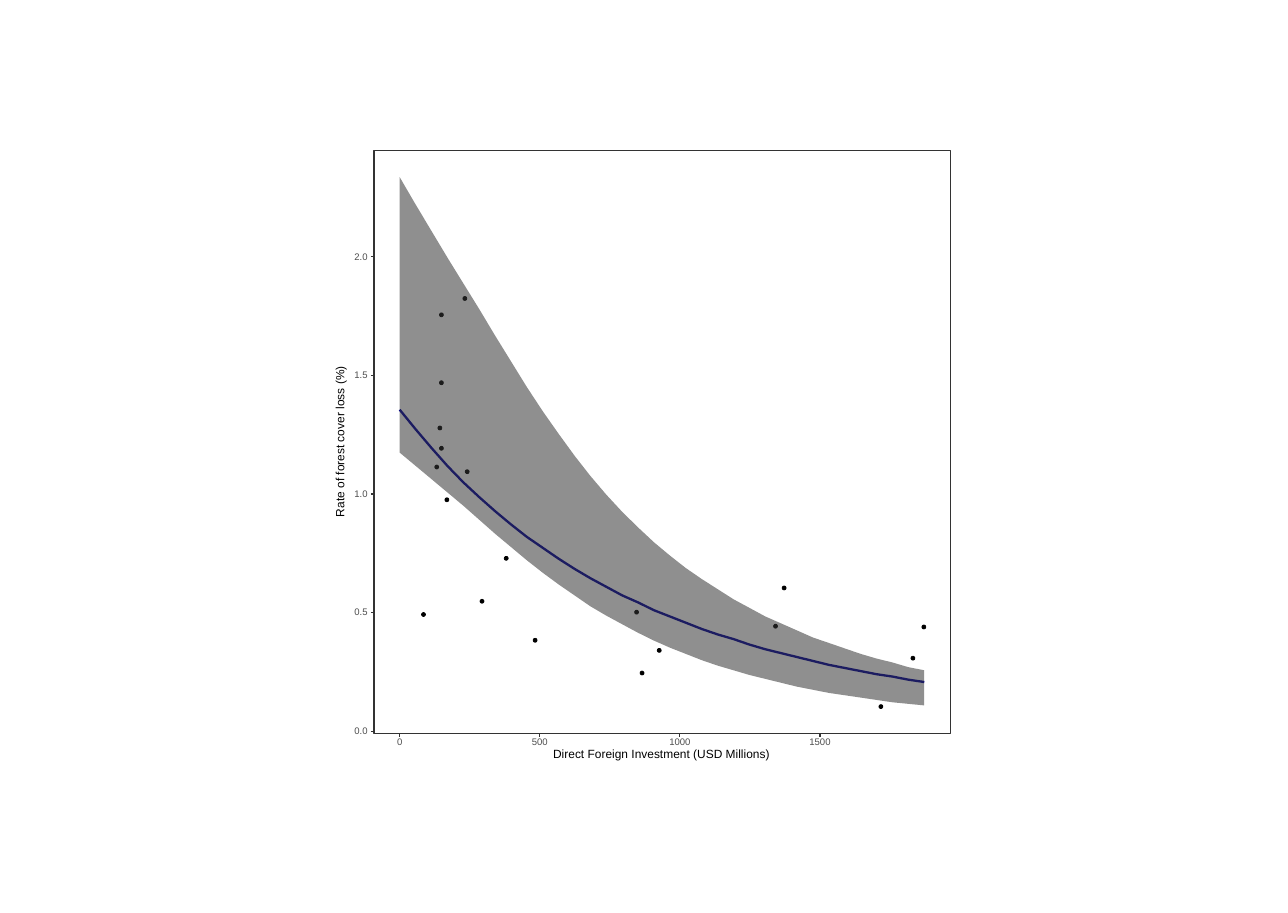
import pptx
import pptx.util
import pptx.dml.color
import pptx.enum.shapes
import pptx.enum.text
import lxml.etree

Inches, Pt = pptx.util.Inches, pptx.util.Pt
RGBColor = pptx.dml.color.RGBColor
MSO_SHAPE = pptx.enum.shapes.MSO_SHAPE
PP_ALIGN = pptx.enum.text.PP_ALIGN

BLACK = RGBColor(0x00, 0x00, 0x00)
WHITE = RGBColor(0xFF, 0xFF, 0xFF)
DARK_GRAY = RGBColor(0x33, 0x33, 0x33)
LABEL_GRAY = RGBColor(0x4D, 0x4D, 0x4D)
FIT_BLUE = RGBColor(0x00, 0x00, 0x99)

# Content
X_TITLE = "Direct Foreign Investment (USD Millions)"
Y_TITLE = "Rate of forest cover loss (%)"
X_LABELS = ["0", "500", "1000", "1500"]
Y_LABELS = ["0.0", "0.5", "1.0", "1.5", "2.0"]

# Left and top of each observation, in inches
OBSERVATIONS = [
    (5.63, 4.01), (6.15, 7.68), (5.7, 6.38), (5.96, 6.02), (5.93, 3.8),
    (5.63, 4.88), (5.63, 5.72), (5.61, 5.46), (5.4, 7.85), (5.57, 5.96),
    (6.46, 7.13), (6.83, 8.18), (8.2, 8.6), (8.13, 7.82), (8.42, 8.31),
    (9.91, 8), (10.02, 7.51), (11.67, 8.41), (11.81, 8.01), (11.26, 9.03),
]

# Heights of the curves at equal steps from left to right, in inches
FIT = [
    5.25, 5.5, 5.74, 5.97, 6.18, 6.37, 6.55, 6.72, 6.88, 7.02, 7.16, 7.29,
    7.41, 7.52, 7.63, 7.72, 7.82, 7.9, 7.98, 8.06, 8.13, 8.19, 8.26, 8.32,
    8.37, 8.42, 8.47, 8.52, 8.56, 8.6, 8.64, 8.67, 8.71, 8.74,
]
UPPER = [
    2.27, 2.62, 2.96, 3.3, 3.63, 3.96, 4.3, 4.63, 4.96, 5.27, 5.56, 5.84,
    6.1, 6.34, 6.56, 6.76, 6.95, 7.12, 7.28, 7.42, 7.55, 7.68, 7.79, 7.9,
    7.99, 8.08, 8.17, 8.24, 8.31, 8.38, 8.44, 8.49, 8.55, 8.59,
]
LOWER = [
    5.8, 5.97, 6.14, 6.31, 6.48, 6.66, 6.84, 7.01, 7.18, 7.34, 7.49, 7.63,
    7.77, 7.89, 8, 8.11, 8.21, 8.3, 8.38, 8.46, 8.53, 8.59, 8.65, 8.7,
    8.75, 8.8, 8.84, 8.88, 8.91, 8.94, 8.97, 9, 9.02, 9.04,
]

# Layout
FIGURE = (4.25, 1.85, 8, 8)
PANEL = (4.79, 1.93, 7.39, 7.47)
PANEL_LEFT, PANEL_BOTTOM = PANEL[0], PANEL[1] + PANEL[3]
X_ZERO, X_STEP = 5.12, 1.795
Y_ZERO, Y_STEP = 9.37, 1.52
CURVE_WIDTH = 6.72
TICK = 0.04
DOT = 0.05

presentation = pptx.Presentation()
presentation.slide_width, presentation.slide_height = Inches(16.5), Inches(11.7)
slide = presentation.slides.add_slide(presentation.slide_layouts[6])
shapes = slide.shapes


def style(shape, fill=None, line=None, width=1.07):
    shape.shadow.inherit = False
    for part, color in ((shape.fill, fill), (shape.line.fill, line)):
        if color is None:
            part.background()
        else:
            part.solid()
            part.fore_color.rgb = color
    if line is not None:
        shape.line.width = Pt(width)


def add_preset(kind, box, **look):
    style(shapes.add_shape(kind, *map(Inches, box)), **look)


def add_outline(points, close, **look):
    corners = [(Inches(x), Inches(y)) for x, y in points]
    builder = shapes.build_freeform(*corners[0])
    builder.add_line_segments(corners[1:], close=close)
    shape = builder.convert_to_shape()
    style(shape, **look)
    return shape


def add_tick(*ends):
    tick = shapes.add_connector(
        pptx.enum.shapes.MSO_CONNECTOR.STRAIGHT, *map(Inches, ends))
    tick.line.color.rgb = DARK_GRAY
    tick.line.width = Pt(1.07)
    lxml.etree.SubElement(
        tick._element.spPr, pptx.oxml.ns.qn("a:effectLst"))


def add_label(text, center_x, center_y, width, height=0.09, size=8.8,
              color=LABEL_GRAY, align=PP_ALIGN.CENTER, rotation=0):
    box = shapes.add_textbox(
        Inches(center_x - width / 2), Inches(center_y - height / 2),
        Inches(width), Inches(height))
    box.rotation = rotation
    frame = box.text_frame
    frame_format = {
        "margin_left": 0, "margin_right": 0, "margin_top": 0,
        "margin_bottom": 0, "word_wrap": False,
        "vertical_anchor": pptx.enum.text.MSO_ANCHOR.MIDDLE,
    }
    for name, value in frame_format.items():
        setattr(frame, name, value)
    paragraph = frame.paragraphs[0]
    paragraph.alignment = align
    paragraph.line_spacing = Pt(size)
    run = paragraph.add_run()
    run.text = text
    for name, value in {"name": "Arial", "size": Pt(size)}.items():
        setattr(run.font, name, value)
    run.font.color.rgb = color


def along_curve(heights):
    step = CURVE_WIDTH / (len(heights) - 1)
    return [(X_ZERO + i * step, y) for i, y in enumerate(heights)]


# Backgrounds
add_preset(MSO_SHAPE.RECTANGLE, FIGURE, fill=WHITE, line=WHITE)
add_preset(MSO_SHAPE.RECTANGLE, PANEL, fill=WHITE)

# Fitted curve, observations and confidence band
add_outline(along_curve(FIT), False, line=FIT_BLUE, width=2.13)
for left, top in OBSERVATIONS:
    add_preset(MSO_SHAPE.OVAL, (left, top, DOT, DOT),
               fill=BLACK, line=BLACK, width=0.71)
band = add_outline(along_curve(UPPER) + along_curve(LOWER)[::-1], True,
                   fill=DARK_GRAY)
band_color = band._element.spPr.find(".//" + pptx.oxml.ns.qn("a:srgbClr"))
lxml.etree.SubElement(
    band_color, pptx.oxml.ns.qn("a:alpha")).set("val", "55000")

# Panel border
add_preset(MSO_SHAPE.RECTANGLE, PANEL, line=DARK_GRAY)

# Axes
for i, text in enumerate(Y_LABELS):
    y = Y_ZERO - i * Y_STEP
    add_label(text, 4.625, y + 0.005, 0.17, align=PP_ALIGN.RIGHT)
    add_tick(PANEL_LEFT - TICK, y, PANEL_LEFT, y)
for i, text in enumerate(X_LABELS):
    x = X_ZERO + i * X_STEP
    add_label(text, x, 9.515, 0.07 * len(text))
    add_tick(x, PANEL_BOTTOM + TICK, x, PANEL_BOTTOM)

# Axis titles, with room to stay on one line
title_format = {"height": 0.14, "size": 11, "color": BLACK}
add_label(X_TITLE, 8.475, 9.67, 2.9, **title_format)
add_label(Y_TITLE, 4.365, 5.66, 2.05, rotation=270, **title_format)

presentation.save("out.pptx")
